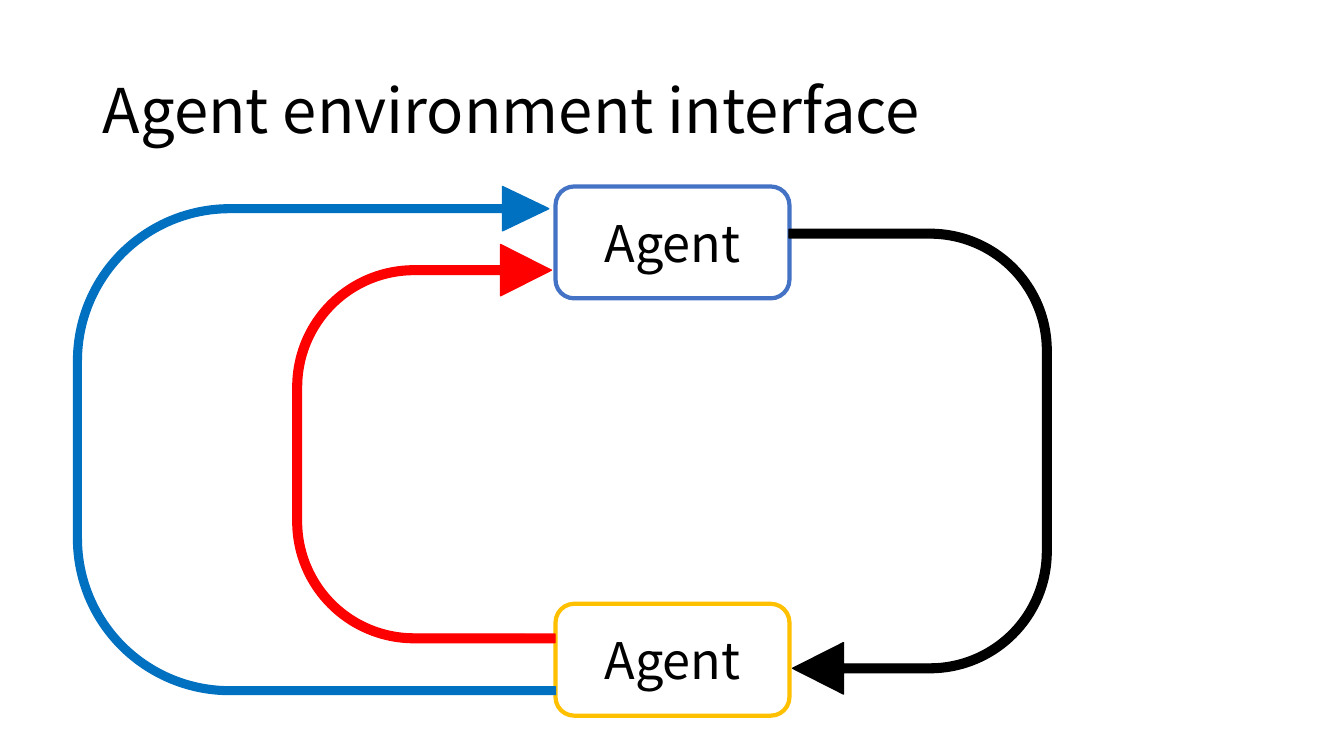
import pptx
import pptx.util
import pptx.dml.color
import pptx.enum.shapes
import pptx.enum.text

Inches, Pt = pptx.util.Inches, pptx.util.Pt
RGB = pptx.dml.color.RGBColor.from_string
SHAPE = pptx.enum.shapes.MSO_SHAPE
ALIGN = pptx.enum.text.PP_ALIGN
ANCHOR = pptx.enum.text.MSO_ANCHOR

FONT = "Noto Sans CJK KR"
COLORS = {
    "black": "000000",
    "white": "FFFFFF",
    "blue_border": "4472C4",
    "gold_border": "FFC000",
    "red": "FF0000",
    "blue": "0070C0",
}


def write(shape, text, size, align):
    tf = shape.text_frame
    tf.word_wrap = True
    tf.vertical_anchor = ANCHOR.MIDDLE
    p = tf.paragraphs[0]
    p.text = text
    p.alignment = align
    p.font.name = FONT
    p.font.size = Pt(size)
    p.font.color.rgb = RGB(COLORS["black"])
    return p


def add_shape(kind, box, fill, line, width):
    sp = s.shapes.add_shape(kind, *[Inches(v) for v in box])
    sp.shadow.inherit = False
    sp.fill.solid()
    sp.fill.fore_color.rgb = RGB(COLORS[fill])
    sp.line.color.rgb = RGB(COLORS[line])
    sp.line.width = Pt(width)
    return sp


prs = pptx.Presentation()
prs.slide_width, prs.slide_height = Inches(13.33), Inches(7.5)
s = prs.slides.add_slide(prs.slide_layouts[5])

title = s.shapes.title
title.left, title.top = Inches(0.92), Inches(0.4)
title.width, title.height = Inches(11.5), Inches(1.45)
p = write(title, "Agent environment interface", 44, ALIGN.LEFT)
p.line_spacing = 0.9

for top, border in [(1.85, "blue_border"), (5.99, "gold_border")]:
    sp = add_shape(SHAPE.ROUNDED_RECTANGLE, (5.51, top, 2.32, 1.11), "white", border, 3)
    write(sp, "Agent", 36, ALIGN.CENTER)

narrow = (0.033, 0.098, 0.194, 0.462, 0.986)
wide = (0.016, 0.046, 0.096, 0.324, 0.986)
arrows = [
    ((6.82, 3.28, 4.61, 2.6), 90, "black", narrow),
    ((2.23, 3.1, 3.95, 2.6), 270, "red", narrow),
    ((0.6, 1.98, 5.04, 4.78), 270, "blue", wide),
]
for box, rotation, color, adjustments in arrows:
    sp = add_shape(SHAPE.U_TURN_ARROW, box, color, color, 1)
    sp.rotation = rotation
    for i, value in enumerate(adjustments):
        sp.adjustments[i] = value

prs.save("out.pptx")
